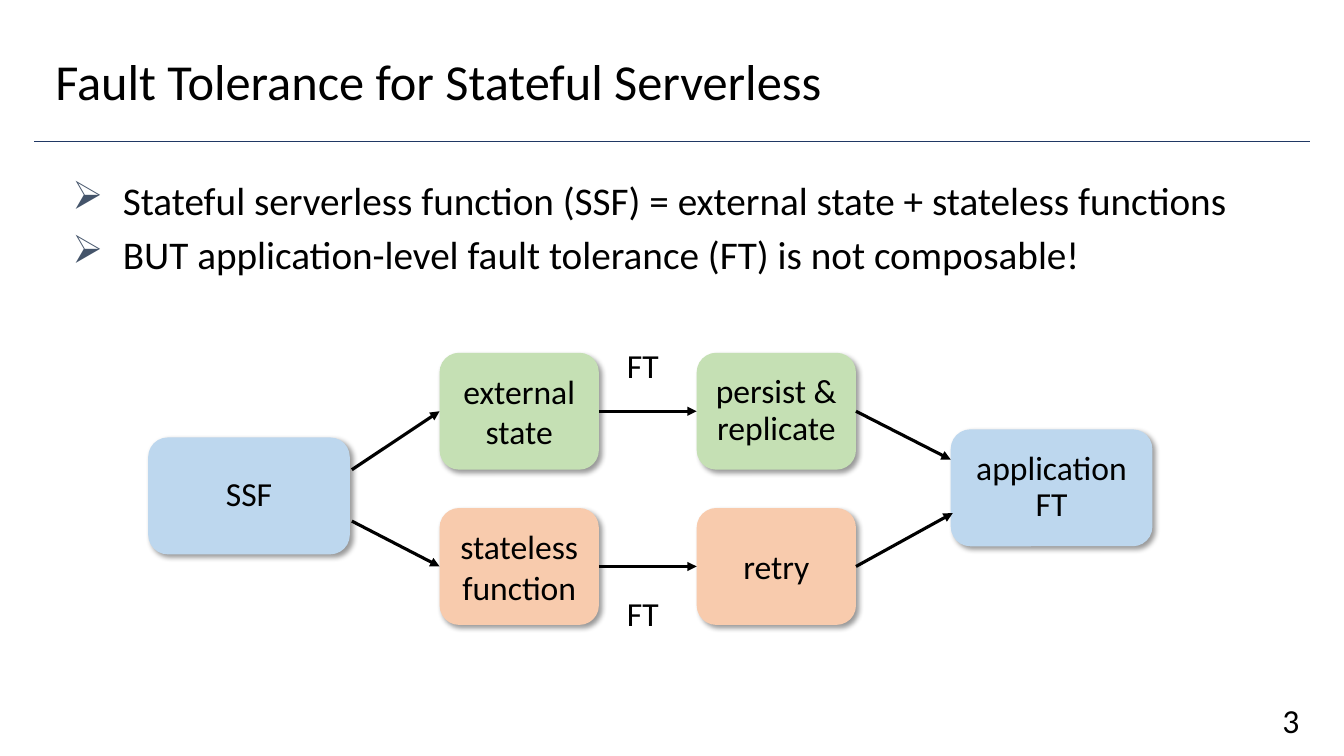
from lxml.etree import SubElement
from pptx import Presentation
from pptx.dml.color import RGBColor
from pptx.enum.shapes import MSO_CONNECTOR as Connector, MSO_SHAPE as Shape
from pptx.enum.text import MSO_ANCHOR as Anchor, PP_ALIGN as Align
from pptx.oxml.ns import qn
from pptx.util import Inches, Pt

# Content
COLORS = {"text": "000000", "rule": "203864", "bullet": "44546A", "blue": "BDD7EE",
          "green": "C5E0B4", "orange": "F8CBAD"}
TITLE = "Fault Tolerance for Stateful Serverless"
BULLETS = ["Stateful serverless function (SSF) = external state + stateless functions",
           "BUT application-level fault tolerance (FT) is not composable!"]
LABELS = [("FT", 6.12, 3.37, 0.58), ("FT", 6.12, 5.83, 0.58), ("3", 12.62, 6.89, 0.61)]

# Diagram layout: column lefts and row tops
STATE_X, METHOD_X = 4.36, 6.91
TOP_Y, BOTTOM_Y = 3.5, 5.04
WIDE, NARROW, BOX_HEIGHT = 2, 1.58, 1.16
BOXES = {  # name: (lines, left, top, width, colour, line spacing)
    "application": (["application", "FT"], 9.43, 4.26, WIDE, "blue", 0.9),
    "ssf": (["SSF"], 1.47, 4.34, WIDE, "blue", 0.9),
    "function": (["stateless", "function"], STATE_X, BOTTOM_Y, NARROW, "orange", 1.0),
    "state": (["external", "state"], STATE_X, TOP_Y, NARROW, "green", 1.0),
    "persist": (["persist &", "replicate"], METHOD_X, TOP_Y, NARROW, "green", 0.9),
    "retry": (["retry"], METHOD_X, BOTTOM_Y, NARROW, "orange", 1.0),
}
# Each end is a box name (middle of its side) or a free point
ARROWS = [((3.49, 4.66), "state"), ((3.49, 5.17), "function"),
          ("state", "persist"), ("function", "retry"),
          ("persist", (9.43, 4.56)), ("retry", (9.45, 5.09))]
LEFT_SIDE, RIGHT_SIDE = 1, 3


def color(name):
    return RGBColor.from_string(COLORS[name])


def write(shape, lines, size, frame_format=None, **paragraph_format):
    frame = shape.text_frame
    for key, value in (frame_format or {}).items():
        setattr(frame, key, value)
    for index, line in enumerate(lines):
        paragraph = frame.paragraphs[0] if index == 0 else frame.add_paragraph()
        for key, value in paragraph_format.items():
            setattr(paragraph, key, value)
        run = paragraph.add_run()
        run.text = line
        for key, value in {"name": "Calibri", "size": Pt(size)}.items():
            setattr(run.font, key, value)
        run.font.color.rgb = color("text")
    return frame


def add_text(left, top, width, height, lines, size, frame_format, **paragraph_format):
    box = slide.shapes.add_textbox(*map(Inches, (left, top, width, height)))
    return write(box, lines, size, frame_format, **paragraph_format)


def add_line(start, end, line_color, width):
    line = slide.shapes.add_connector(Connector.STRAIGHT, *map(Inches, (*start, *end)))
    line.line.color.rgb = color(line_color)
    line.line.width = Pt(width)
    SubElement(line._element.spPr, qn("a:effectLst"))
    return line


def add_shadow(shape):
    shape.shadow.inherit = False
    effects = shape._element.spPr.find(qn("a:effectLst"))
    shadow = SubElement(effects, qn("a:outerShdw"), blurRad=str(Pt(4)), dist=str(Pt(3)),
                        dir=str(45 * 60000), algn="tl", rotWithShape="0")
    shade = SubElement(shadow, qn("a:srgbClr"), val=COLORS["text"])
    SubElement(shade, qn("a:alpha"), val="40000")


def side_point(name, side):
    _, left, top, width, _, _ = BOXES[name]
    return left + (width if side == RIGHT_SIDE else 0), top + BOX_HEIGHT / 2


presentation = Presentation()
presentation.slide_width, presentation.slide_height = Inches(13.33), Inches(7.5)
slide = presentation.slides.add_slide(presentation.slide_layouts[6])

# Title, rule and bullets
add_line((0.34, 1.4), (12.99, 1.4), "rule", 0.75)
wide_frame = {"word_wrap": True, "margin_top": Inches(0.1), "margin_bottom": Inches(0.1)}
add_text(0.45, 0.38, 12.42, 0.84, [TITLE], 36,
         {**wide_frame, "vertical_anchor": Anchor.MIDDLE})
body = add_text(0.45, 1.58, 12.42, 5.08, BULLETS, 28, wide_frame, line_spacing=1.15)
for paragraph in body.paragraphs:
    properties = paragraph._p.get_or_add_pPr()
    properties.set("marL", str(Inches(0.67)))
    properties.set("indent", str(Inches(-0.5)))
    bullet_color = SubElement(properties, qn("a:buClr"))
    SubElement(bullet_color, qn("a:srgbClr"), val=COLORS["bullet"])
    SubElement(properties, qn("a:buChar"), char="➢")

# Arrow labels and slide number
for text, left, top, width in LABELS:
    add_text(left, top, width, 0.5, [text], 24, {"word_wrap": False})

# Diagram boxes
shapes = {}
for name, (lines, left, top, width, fill, spacing) in BOXES.items():
    shape = slide.shapes.add_shape(Shape.ROUNDED_RECTANGLE,
                                   *map(Inches, (left, top, width, BOX_HEIGHT)))
    shape.fill.solid()
    shape.fill.fore_color.rgb = color(fill)
    shape.line.fill.background()
    add_shadow(shape)
    write(shape, lines, 24, {"vertical_anchor": Anchor.MIDDLE, "word_wrap": True},
          alignment=Align.CENTER, line_spacing=spacing)
    shapes[name] = shape

# Arrows
for source, target in ARROWS:
    start = side_point(source, RIGHT_SIDE) if source in shapes else source
    end = side_point(target, LEFT_SIDE) if target in shapes else target
    arrow = add_line(start, end, "text", 2.25)
    SubElement(arrow.line._get_or_add_ln(), qn("a:tailEnd"), type="triangle")
    if source in shapes:
        arrow.begin_connect(shapes[source], RIGHT_SIDE)
    if target in shapes:
        arrow.end_connect(shapes[target], LEFT_SIDE)

presentation.save("out.pptx")
